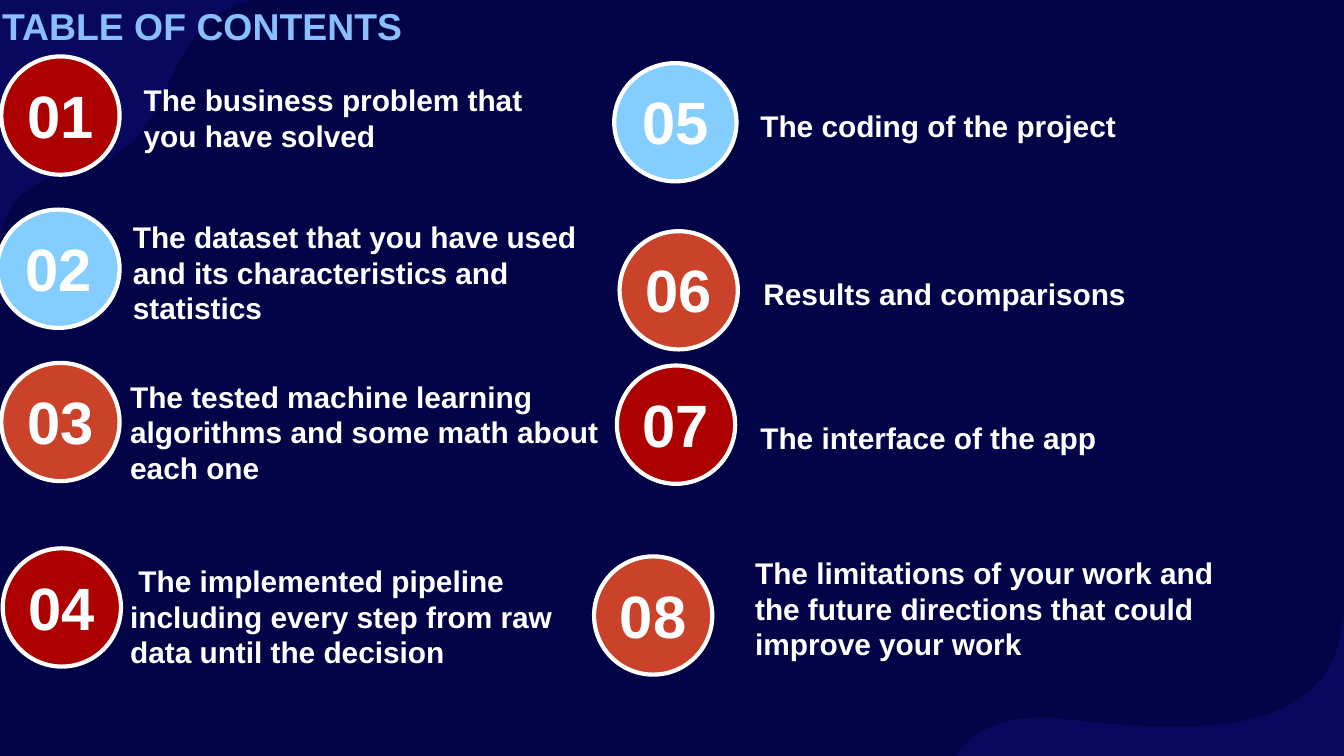
import pptx
import pptx.util
import pptx.dml.color
import pptx.enum.shapes
import pptx.enum.text

Inches, Pt = pptx.util.Inches, pptx.util.Pt
Align, Anchor = pptx.enum.text.PP_ALIGN, pptx.enum.text.MSO_ANCHOR

HUES = {"navy": "030347", "wave": "08085F", "red": "AD0101",
        "sky": "83CDFF", "rust": "CA4229", "white": "FFFFFF", "head": "89BFFF"}

HEAD = "TABLE OF CONTENTS"

# Hue, circle (left, top, width), text box (left, top, width), wording
ITEMS = [
    ("red", (0.01, 0.42, 0.88), (0.97, 0.67, 3.11),
     "The business problem that you have solved"),
    ("sky", (-0.02, 1.56, 0.91), (0.89, 1.82, 3.78),
     "The dataset that you have used and its characteristics and statistics"),
    ("rust", (0.01, 2.7, 0.88), (0.87, 3.01, 3.78),
     "The tested machine learning algorithms and some math about each one"),
    ("red", (0.02, 4.08, 0.88), (0.87, 4.38, 3.78),
     " The implemented pipeline including every step from raw data until the decision"),
    ("sky", (4.57, 0.47, 0.91), (5.56, 0.73, 4.14),
     "The coding of the project"),
    ("rust", (4.61, 1.72, 0.88), (5.52, 1.98, 3.78),
     " Results and comparisons"),
    ("red", (4.59, 2.72, 0.88), (5.56, 3.05, 3.74),
     "The interface of the app"),
    ("rust", (4.42, 4.14, 0.88), (5.52, 4.32, 3.78),
     "The limitations of your work and the future directions that could improve your work"),
]

# Corner waves: a start point, then curves (two handles, end) or line ends
WAVES = [
    ((0, 0), [((0, 1.81),), ((0, 1.72), (0.05, 1.39), (0.46, 1.3)),
              ((0.94, 1.19), (1.08, 1), (1.23, 0.67)),
              ((1.38, 0.34), (1.53, 0.06), (1.89, 0))]),
    ((10, 4.51), [((10, 5.26), (9.36, 5.41), (8.74, 5.41)),
                  ((8.42, 5.41), (8.11, 5.37), (7.89, 5.35)),
                  ((7.84, 5.34), (7.79, 5.34), (7.74, 5.34)),
                  ((7.24, 5.34), (7.11, 5.64), (7.11, 5.64)),
                  ((10, 5.64),)]),
]
WIDE = Inches(10)
TALL, NUM_H, TEXT_H = 0.88, 0.58, 0.41
STEPS = 16

BODY = {"size": Pt(16), "bold": True, "name": "Arial"}
NUM = {**BODY, "size": Pt(32)}
TITLE = {**BODY, "size": Pt(20)}


def rgb(hue):
    return pptx.dml.color.RGBColor.from_string(HUES[hue])


def put(item, vals):
    for key, val in vals.items():
        setattr(item, key, val)


def paint(shape, hue):
    shape.shadow.inherit = False
    shape.fill.solid()
    shape.fill.fore_color.rgb = rgb(hue)


def write(shape, text, font, hue="white", align=Align.LEFT,
          anchor=Anchor.MIDDLE, top=0.1):
    frame = shape.text_frame
    frame.text = text
    put(frame, {"word_wrap": True, "vertical_anchor": anchor,
                "auto_size": pptx.enum.text.MSO_AUTO_SIZE.NONE,
                "margin_left": Inches(0.1), "margin_right": Inches(0.1),
                "margin_top": Inches(top), "margin_bottom": Inches(0.1)})
    para = frame.paragraphs[0]
    put(para, {"alignment": align, "line_spacing": 1.0})
    put(para.runs[0].font, font)
    para.runs[0].font.color.rgb = rgb(hue)


def bend(start, curve):
    """Points along a cubic curve."""
    pts = (start,) + curve
    for step in range(1, STEPS + 1):
        t = step / STEPS
        parts = ((1 - t) ** 3, 3 * t * (1 - t) ** 2, 3 * t * t * (1 - t), t ** 3)
        yield tuple(sum(w * p[axis] for w, p in zip(parts, pts)) for axis in (0, 1))


def wave(shapes, start, path):
    pts, last = [], start
    for move in path:
        pts += bend(last, move) if len(move) == 3 else move
        last = move[-1]
    form = shapes.build_freeform(Inches(start[0]), Inches(start[1]))
    form.add_line_segments([(Inches(x), Inches(y)) for x, y in pts], close=True)
    shape = form.convert_to_shape()
    paint(shape, "wave")
    shape.line.fill.background()


def main():
    deck = pptx.Presentation()
    put(deck, {"slide_width": WIDE, "slide_height": WIDE * 9 // 16})
    slide = deck.slides.add_slide(deck.slide_layouts[5])
    shapes = slide.shapes

    # Background and corner waves
    slide.background.fill.solid()
    slide.background.fill.fore_color.rgb = rgb("navy")
    for start, path in WAVES:
        wave(shapes, start, path)

    # Title, brought in front of the waves
    title = shapes.title
    title.element.getparent().append(title.element)
    put(title, {"left": Inches(-2.71), "top": Inches(-0.08),
                "width": Inches(8.43), "height": Inches(0.65)})
    write(title, HEAD, TITLE, "head", Align.CENTER, Anchor.TOP)

    # Numbered circles with their wording
    for num, (hue, (x, y, wide), (left, top, span), text) in enumerate(ITEMS, 1):
        disc = shapes.add_shape(pptx.enum.shapes.MSO_SHAPE.OVAL,
                                Inches(x), Inches(y), Inches(wide), Inches(TALL))
        paint(disc, hue)
        disc.line.color.rgb = rgb("white")
        disc.line.width = Pt(2.25)
        mark = shapes.add_textbox(Inches(x + 0.02), Inches(y + (TALL - NUM_H) / 2),
                                  Inches(wide - 0.04), Inches(NUM_H))
        write(mark, f"{num:02}", NUM, align=Align.CENTER, top=0.08)
        note = shapes.add_textbox(Inches(left), Inches(top),
                                  Inches(span), Inches(TEXT_H))
        write(note, text, BODY)

    deck.save("out.pptx")


if __name__ == "__main__":
    main()
